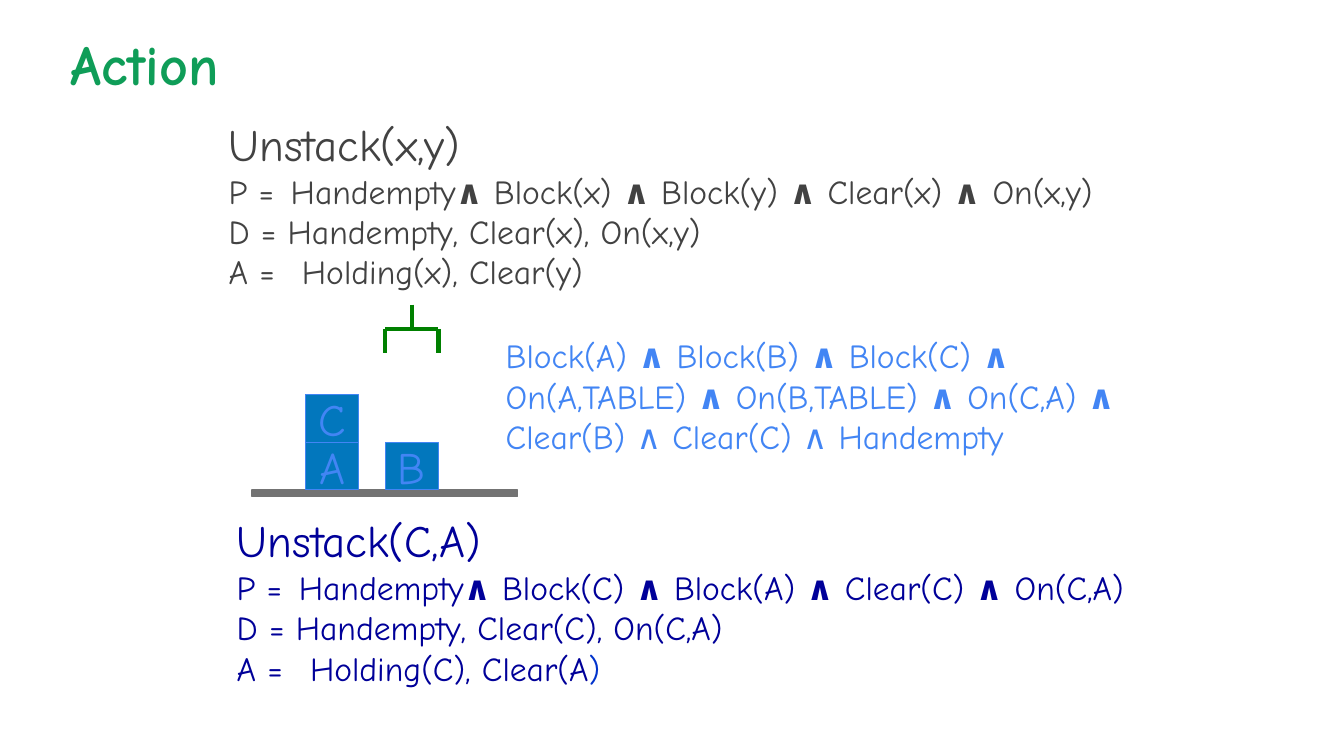
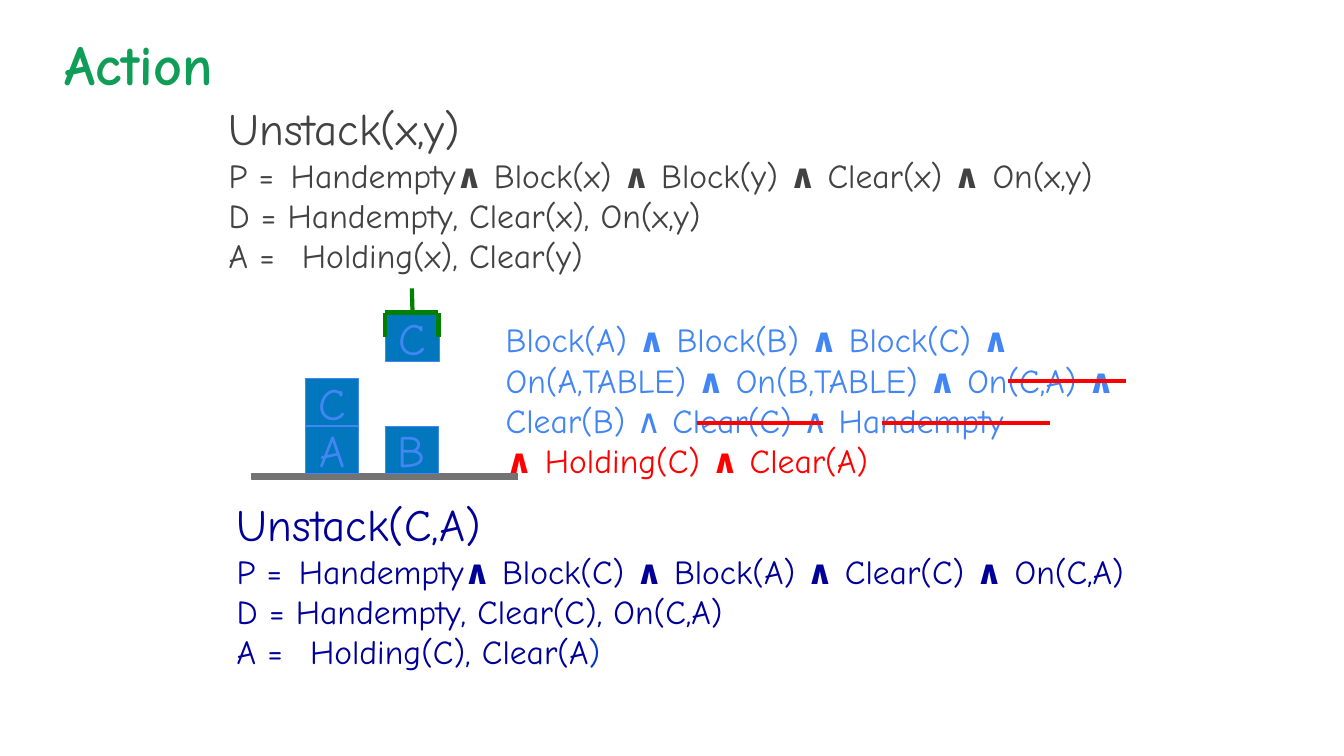
from dataclasses import dataclass

from pptx import Presentation
from pptx.dml.color import RGBColor
from pptx.enum import shapes, text
from pptx.oxml import ns, xmlchemy
from pptx.util import Pt


@dataclass(frozen=True)
class Theme:
    font: str = "Comic Neue"
    title: str = "0F9D58"
    schema: str = "424242"
    instance: str = "000099"
    closing: str = "0033CC"
    facts: str = "4285F4"
    change: str = "FF0000"
    block: str = "0277BD"
    ground: str = "737373"
    gripper: str = "008000"
    title_size: int = 40
    heading_size: int = 32
    body_size: int = 24
    outline: float = 0.75
    stroke: float = 3


THEME = Theme()
BLOCK_WIDTH, BLOCK_HEIGHT = 38, 34.1
LEFT_STACK, RIGHT_STACK = 218.2, 275.2
GROUND_TOP = 350
GRIPPER_TOP, GRIPPER_ARM = 217.6, 17.3
SECOND_PAGE_RISE = 11.6

STATE = ("Block(A) *∧* Block(B) *∧* Block(C) *∧ *On(A,TABLE) *∧* On(B,TABLE) *∧* "
         "On(C,A) *∧* Clear(B) ∧ Clear(C) ∧ Handempty")
ADDED = "*∧ *Holding(C) *∧* Clear(A)"
STRIKES = [(630, 750, 302.4), (498.2, 588.2, 302.4), (720, 804.2, 272.2)]


def color(code):
    return RGBColor.from_string(code)


def add_span(para, words, size, code, bold=False):
    span = para.add_run()
    span.text = words
    span.font.name = THEME.font
    span.font.size = Pt(size)
    span.font.bold = bold
    span.font.color.rgb = color(code)


def add_marked(para, words, size, code):
    for index, part in enumerate(words.split("*")):
        if part:
            add_span(para, part, size, code, bold=index % 2 == 1)


def next_para(frame):
    first = frame.paragraphs[0]
    return frame.add_paragraph() if first.runs else first


def set_tab(para, position):
    properties = para._p.get_or_add_pPr()
    stops = xmlchemy.OxmlElement("a:tabLst")
    stop = xmlchemy.OxmlElement("a:tab")
    stop.set("pos", str(Pt(position)))
    stop.set("algn", "l")
    stops.append(stop)
    properties.append(stops)


def add_box(page, left, top, width, height):
    box = page.shapes.add_textbox(Pt(left), Pt(top), Pt(width), Pt(height))
    box.text_frame.word_wrap = True
    return box.text_frame


def add_title(page, left):
    frame = add_box(page, left, 5, 960 - left, 80.6)
    frame.vertical_anchor = text.MSO_ANCHOR.MIDDLE
    frame.margin_top = frame.margin_bottom = Pt(7.2)
    add_span(frame.paragraphs[0], "Action", THEME.title_size, THEME.title, bold=True)


def add_action(page, left, top, width, upper, lower, code, closing):
    frame = add_box(page, left, top, width, 133.2)
    add_span(next_para(frame), f"Unstack({upper},{lower})", THEME.heading_size, code)
    lines = [
        f"P = \tHandempty*∧* Block({upper}) *∧* Block({lower}) *∧* "
        f"Clear({upper}) *∧ *On({upper},{lower})",
        f"D = Handempty, Clear({upper}), On({upper},{lower})",
        f"A = \t Holding({upper}), Clear({lower}",
    ]
    for line in lines:
        para = next_para(frame)
        set_tab(para, 44.4)
        add_marked(para, line, THEME.body_size, code)
    add_span(para, ")", THEME.body_size, closing)


def add_facts(page, top, paragraphs):
    frame = add_box(page, 354.2, top, 463, 30 + 64 * len(paragraphs))
    for words, code in paragraphs:
        add_marked(next_para(frame), words, THEME.body_size, code)


def add_bar(page, left, top, width, height, fill, line):
    bar = page.shapes.add_shape(shapes.MSO_SHAPE.RECTANGLE,
                                Pt(left), Pt(top), Pt(width), Pt(height))
    bar.shadow.inherit = False
    bar.fill.solid()
    bar.fill.fore_color.rgb = color(fill)
    bar.line.color.rgb = color(line)
    bar.line.width = Pt(THEME.outline)
    return bar


def add_block(page, left, top, letter):
    block = add_bar(page, left, top, BLOCK_WIDTH, BLOCK_HEIGHT, THEME.block, THEME.facts)
    frame = block.text_frame
    frame.word_wrap = False
    frame.vertical_anchor = text.MSO_ANCHOR.MIDDLE
    para = frame.paragraphs[0]
    para.alignment = text.PP_ALIGN.CENTER
    add_span(para, letter, THEME.heading_size, THEME.facts)
    return block


def add_line(page, start, end, code):
    line = page.shapes.add_connector(shapes.MSO_CONNECTOR.STRAIGHT,
                                     *(Pt(value) for value in (*start, *end)))
    line.line.color.rgb = color(code)
    line.line.width = Pt(THEME.stroke)
    line._element.find(ns.qn("p:spPr")).append(xmlchemy.OxmlElement("a:effectLst"))
    return line


def add_gripper(page, top, held=None):
    left, right = RIGHT_STACK, RIGHT_STACK + BLOCK_WIDTH
    middle, bar = (left + right) / 2, top + GRIPPER_ARM
    add_line(page, (left, bar), (right, bar), THEME.gripper)
    for side in (left, right):
        add_line(page, (side, bar), (side, bar + GRIPPER_ARM), THEME.gripper)
    stem = add_line(page, (middle, top), (middle, bar), THEME.gripper)
    if held is not None:
        stem.end_connect(held, 0)


def add_table_scene(page, rise):
    ground = GROUND_TOP - rise
    add_bar(page, 180, ground, 190, 4.4, THEME.ground, THEME.ground)
    for left, letters in ((LEFT_STACK, "AC"), (RIGHT_STACK, "B")):
        for level, letter in enumerate(letters, 1):
            add_block(page, left, ground - level * BLOCK_HEIGHT, letter)


def add_page(deck, title_left, rise, after=False):
    page = deck.slides.add_slide(deck.slide_layouts[6])
    add_title(page, title_left)
    held = None
    if after:
        held = add_block(page, RIGHT_STACK + 0.5, 224, "C")
    add_action(page, 156.2, 80 - rise, 660, "x", "y", THEME.schema, THEME.schema)
    paragraphs = [(STATE, THEME.facts)]
    if after:
        paragraphs.append((ADDED, THEME.change))
    add_facts(page, 236 - rise, paragraphs)
    add_action(page, 162, 363 - rise, 678, "C", "A", THEME.instance, THEME.closing)
    if after:
        for start, end, height in STRIKES:
            add_line(page, (start, height), (end, height), THEME.change)
    add_table_scene(page, rise)
    add_gripper(page, GRIPPER_TOP - rise, held)


def main():
    deck = Presentation()
    deck.slide_width, deck.slide_height = Pt(960), Pt(540)
    add_page(deck, 43.2, 0)
    add_page(deck, 38.9, SECOND_PAGE_RISE, after=True)
    deck.save("out.pptx")


if __name__ == "__main__":
    main()
